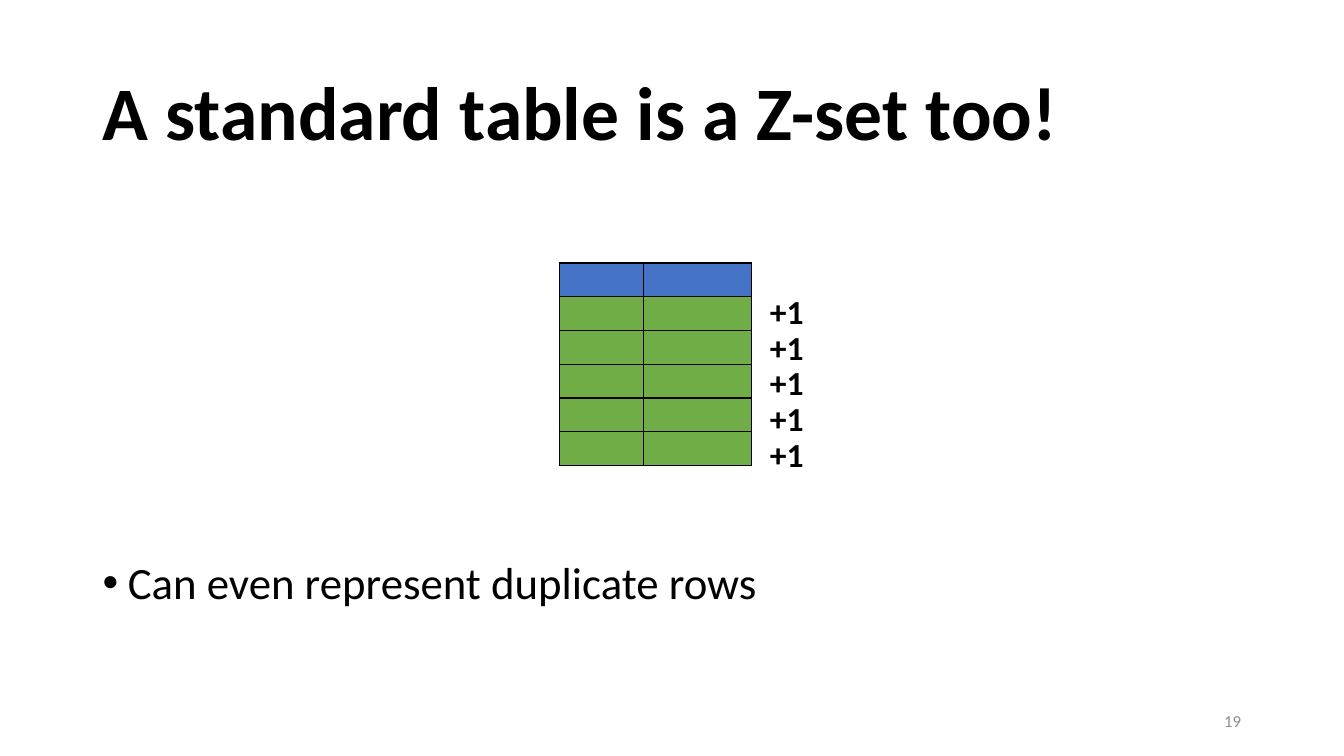
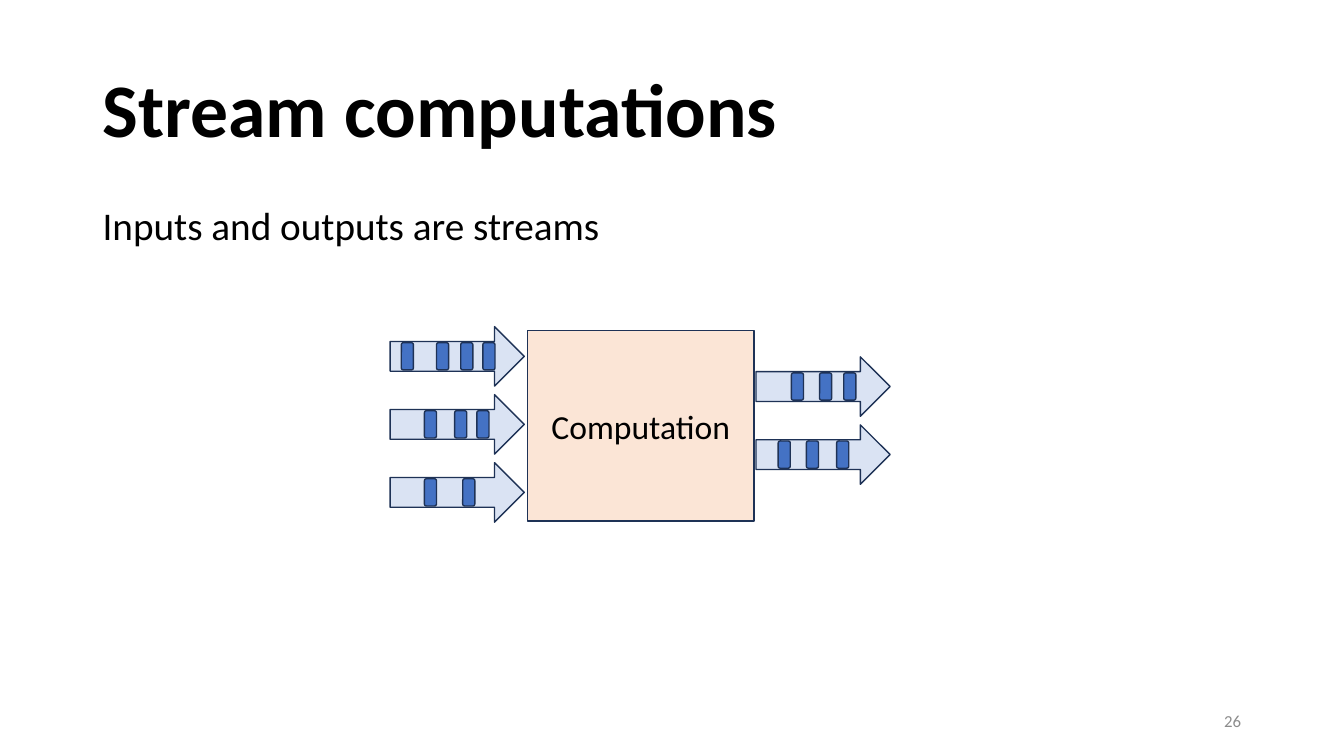
from lxml import etree
from pptx import Presentation
from pptx import util as u
from pptx.dml.color import RGBColor
from pptx.enum import shapes, text
from pptx.oxml import ns

colour = RGBColor.from_string
BLACK, GREY, BLUE, GREEN = "000000", "8C8C8C", "4472C4", "70AD47"
PALE_BLUE, PEACH, NAVY = "DAE3F3", "FBE5D6", "1E3256"
LEFT, TEXT_WIDTH = 6.9, 86.25  # percent of the slide width

deck = Presentation()
deck.slide_width, deck.slide_height = u.Inches(13.33), u.Inches(7.5)


def area(left, top, width, height):
    """Turn percentages of the slide's width and height into lengths."""
    across, down = deck.slide_width / 100, deck.slide_height / 100
    return [u.Emu(round(share * unit)) for share, unit in
            zip((left, top, width, height), (across, down, across, down))]


def write(shape, words, size, ink=BLACK, bold=False, wrap=True, spacing=1.0,
          align=text.PP_ALIGN.LEFT, anchor=text.MSO_ANCHOR.TOP, bullet=False):
    frame = shape.text_frame
    frame.text = words
    frame.word_wrap = wrap
    frame.auto_size = text.MSO_AUTO_SIZE.NONE
    frame.vertical_anchor = anchor
    paragraph = frame.paragraphs[0]
    if bullet:
        properties = paragraph._p.get_or_add_pPr()
        properties.set("marL", str(u.Inches(0.25)))
        properties.set("indent", str(-u.Inches(0.25)))
        etree.SubElement(properties, ns.qn("a:buFont")).set("typeface", "Arial")
        etree.SubElement(properties, ns.qn("a:buChar")).set("char", "•")
    paragraph.alignment = align
    paragraph.line_spacing = spacing
    font = paragraph.font
    font.name, font.size, font.bold = "Calibri", u.Pt(size), bold
    font.color.rgb = colour(ink)


# Title, body line and page number of both slides
pages = [
    ("A standard table is a Z-set too!", 5.73, "19",
     "Can even represent duplicate rows", 73.47, 32, True),
    ("Stream computations", 5.33, "26",
     "Inputs and outputs are streams", 26.67, 28, False),
]
slides = []
for heading, heading_top, number, line, line_top, line_size, bullet in pages:
    slide = deck.slides.add_slide(deck.slide_layouts[5])
    slides.append(slide)
    title = slide.shapes.title
    title.left, title.top, title.width, title.height = area(
        LEFT, heading_top, TEXT_WIDTH, 19.33)
    write(title, heading, 54, bold=True, spacing=0.9,
          anchor=text.MSO_ANCHOR.MIDDLE)
    body = slide.shapes.add_textbox(*area(LEFT, line_top, TEXT_WIDTH, 10))
    write(body, line, line_size, spacing=0.9, bullet=bullet)
    page_number = slide.shapes.add_textbox(*area(89.93, 92.67, 3.15, 5.33))
    write(page_number, number, 12, GREY, align=text.PP_ALIGN.RIGHT,
          anchor=text.MSO_ANCHOR.MIDDLE)

zset_slide, stream_slide = slides

# Table: a header row and five data rows
ROWS = 6
zset = zset_slide.shapes.add_table(ROWS, 2, *area(41.6, 34.8, 14.3, 26.8)).table
zset.columns[0].width, zset.columns[1].width = area(6.3, 0, 8, 0)[::2]
for row in range(ROWS):
    for column in range(2):
        cell = zset.cell(row, column)
        cell.margin_top = cell.margin_bottom = 0
        borders = cell._tc.get_or_add_tcPr()
        for side in ("lnL", "lnR", "lnT", "lnB"):
            border = etree.SubElement(borders, ns.qn("a:" + side), w=str(u.Pt(1)))
            solid = etree.SubElement(border, ns.qn("a:solidFill"))
            etree.SubElement(solid, ns.qn("a:srgbClr"), val=BLACK)
        cell.fill.solid()
        cell.fill.fore_color.rgb = colour(GREEN if row else BLUE)

# Weight beside each data row
for row in range(ROWS - 1):
    weight = zset_slide.shapes.add_textbox(
        *area(56.55, 37.87 + 4.7 * row, 4.2, 6.67))
    write(weight, "+1", 24, bold=True, wrap=False)

# Streams: left and top of each arrow, then offsets of the items in it
ARROW_WIDTH, ARROW_HEIGHT, PITCH = 9.98, 7.87, 9
ITEM_WIDTH, ITEM_HEIGHT = 0.9, 3.6
sides = [
    (29.03, 43.2, [(0.83, 3.45, 5.25, 6.9), (2.55, 4.8, 6.45), (2.55, 5.4)]),
    (56.25, 47.2, [(2.63, 4.73, 6.53), (1.65, 3.75, 6)]),
]
kinds = shapes.MSO_SHAPE
parts = [(kinds.RECTANGLE, (39.23, 43.73, 16.88, 25.2), PEACH, "Computation")]
for left, first_top, streams in sides:
    for index, offsets in enumerate(streams):
        top = first_top + PITCH * index
        parts.append((kinds.RIGHT_ARROW,
                      (left, top, ARROW_WIDTH, ARROW_HEIGHT), PALE_BLUE, ""))
        item_top = top + (ARROW_HEIGHT - ITEM_HEIGHT) / 2
        for offset in offsets:
            parts.append((kinds.ROUNDED_RECTANGLE,
                          (left + offset, item_top, ITEM_WIDTH, ITEM_HEIGHT),
                          BLUE, ""))

for kind, place, fill, label in parts:
    part = stream_slide.shapes.add_shape(kind, *area(*place))
    part.shadow.inherit = False
    part.fill.solid()
    part.fill.fore_color.rgb = colour(fill)
    part.line.color.rgb = colour(NAVY)
    part.line.width = u.Pt(1)
    if label:
        write(part, label, 24, align=text.PP_ALIGN.CENTER,
              anchor=text.MSO_ANCHOR.MIDDLE)

deck.save("out.pptx")
